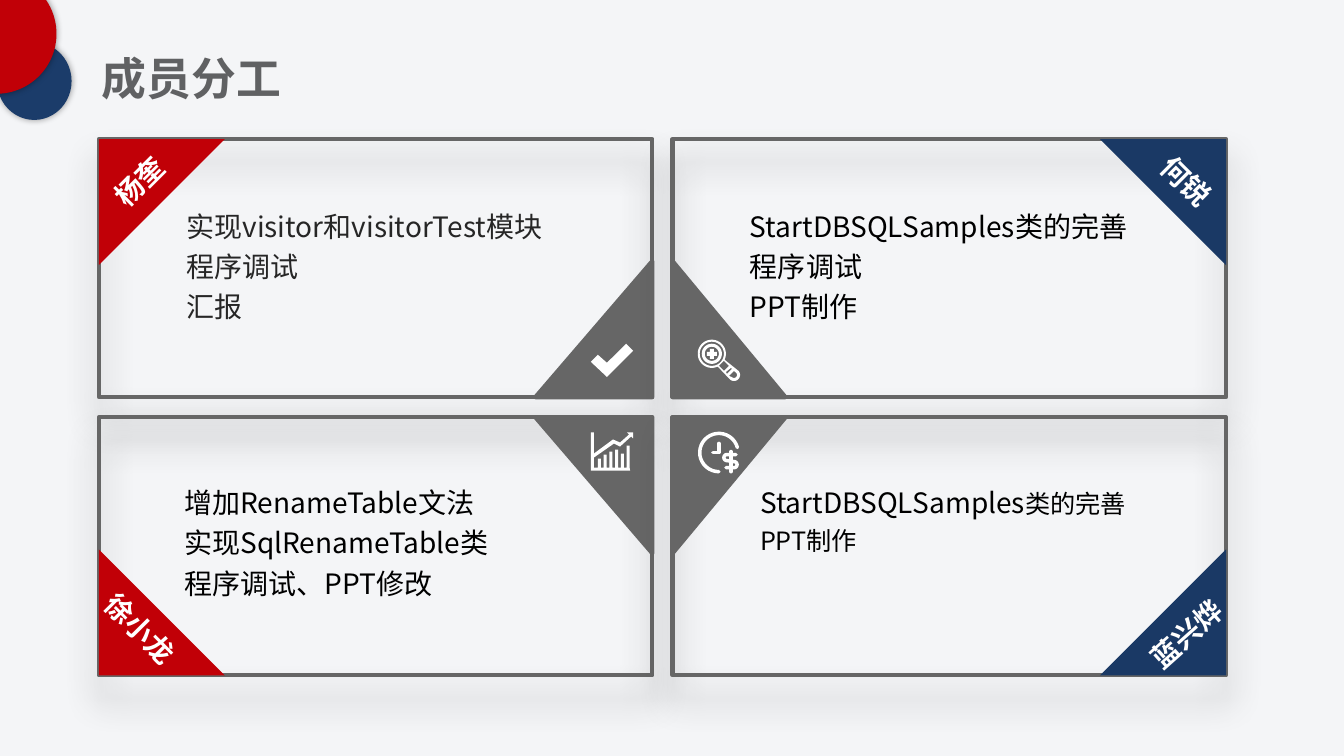
import math
from dataclasses import dataclass

import pptx
import pptx.dml.color
import pptx.enum.shapes
import pptx.enum.text
import pptx.oxml.ns
import pptx.util
from lxml import etree

Inches = pptx.util.Inches
Pt = pptx.util.Pt
Shape = pptx.enum.shapes.MSO_SHAPE
Fit = pptx.enum.text.MSO_AUTO_SIZE
qn = pptx.oxml.ns.qn


@dataclass(frozen=True)
class Theme:
    font: str = "Noto Sans CJK SC"
    back: str = "F4F5F7"
    red: str = "C10007"
    blue: str = "1A3965"
    disc: str = "1B3C6A"
    gray: str = "666666"
    title: str = "606163"
    soft: str = "262626"
    black: str = "000000"
    white: str = "FFFFFF"
    head: int = 32
    body: int = 20
    small: int = 18
    edge: int = 3


def color(code):
    return pptx.dml.color.RGBColor.from_string(code)


def arc(x, y, r, start=0, end=360):
    """Points on a circle; angles in degrees, clockwise from the right."""
    count = max(8, abs(end - start) // 10)
    turns = [math.radians(start + (end - start) * i / count)
             for i in range(count + 1)]
    return [(x + r * math.cos(t), y + r * math.sin(t)) for t in turns]


class Page:
    def __init__(self, slide, theme):
        self.slide, self.theme = slide, theme
        slide.background.fill.solid()
        slide.background.fill.fore_color.rgb = color(theme.back)

    def paint(self, shape, fill=None, line=None, width=None):
        shape.shadow.inherit = False
        if fill:
            shape.fill.solid()
            shape.fill.fore_color.rgb = color(fill)
        else:
            shape.fill.background()
        if line:
            shape.line.color.rgb = color(line)
            shape.line.width = Pt(width or self.theme.edge)
        else:
            shape.line.fill.background()
        return shape

    def shape(self, kind, x, y, w, h, fill=None, line=None):
        shape = self.slide.shapes.add_shape(
            kind, Inches(x), Inches(y), Inches(w), Inches(h))
        return self.paint(shape, fill, line)

    def shade(self, shape, blur, dist):
        """Give a shape a soft black shadow that falls straight down."""
        effects = shape._element.spPr.find(qn("a:effectLst"))
        outer = etree.SubElement(
            effects, qn("a:outerShdw"), blurRad=str(Pt(blur)),
            dist=str(Pt(dist)), dir="5400000", algn="ctr", rotWithShape="0")
        tint = etree.SubElement(outer, qn("a:srgbClr"), val=self.theme.black)
        etree.SubElement(tint, qn("a:alpha"), val="40000")

    def corner(self, x, y, w, h, turn, fill, line=None):
        """Right triangle that fills the given box after a quarter turn."""
        if turn % 180:
            x, y, w, h = x + (w - h) / 2, y + (h - w) / 2, h, w
        shape = self.shape(Shape.RIGHT_TRIANGLE, x, y, w, h, fill, line)
        shape.rotation = turn

    def text(self, x, y, w, h, rows, size, tint, bold=False, turn=0, gap=1.2):
        """Each row is a list of (text, size) pairs or a plain string."""
        box = self.slide.shapes.add_textbox(
            Inches(x), Inches(y), Inches(w), Inches(h))
        box.rotation = turn
        frame = box.text_frame
        frame.word_wrap = True
        for i, row in enumerate(rows):
            para = frame.add_paragraph() if i else frame.paragraphs[0]
            para.line_spacing = gap
            for words, points in [(row, size)] if isinstance(row, str) else row:
                run = para.add_run()
                run.text = words
                run.font.name = self.theme.font
                run.font.size = Pt(points)
                run.font.bold = bold
                run.font.color.rgb = color(tint)
                etree.SubElement(run._r.get_or_add_rPr(), qn("a:ea"),
                                 typeface=self.theme.font)
        return frame

    def label(self, x, y, name, turn):
        """Turned white name centred on the point x, y."""
        wide, high = 1.2, 0.44
        frame = self.text(x - wide / 2, y - high / 2, wide, high, [name],
                          self.theme.body, self.theme.white, bold=True,
                          turn=turn, gap=1.0)
        frame.paragraphs[0].alignment = pptx.enum.text.PP_ALIGN.CENTER

    def trace(self, parts, close):
        first = parts[0][0]
        pen = self.slide.shapes.build_freeform(
            Inches(first[0]), Inches(first[1]))
        for i, part in enumerate(parts):
            points = [(Inches(x), Inches(y)) for x, y in part]
            if i:
                pen.move_to(*points[0])
            pen.add_line_segments(points[1:], close=close)
        return pen.convert_to_shape()

    def solid(self, *parts):
        """White outline; each part inside another cuts a hole."""
        self.paint(self.trace(parts, True), self.theme.white)

    def stroke(self, *parts):
        shape = self.paint(self.trace(parts, False),
                           line=self.theme.white, width=2.5)
        shape.line._get_or_add_ln().set("cap", "rnd")


def draw_icons(page):
    # Check mark
    page.solid([(6.21, 3.41), (6.02, 3.6), (5.93, 3.52), (5.86, 3.59),
                (6.02, 3.74), (6.28, 3.48)])

    # Magnifier
    x, y, a, b = 7.06, 3.51, 0.05, 0.02
    plus = [(-b, -a), (b, -a), (b, -b), (a, -b), (a, b), (b, b),
            (b, a), (-b, a), (-b, b), (-a, b), (-a, -b), (-b, -b)]
    page.solid(
        arc(x, y, 0.14, 65, 385) + arc(7.28, 3.72, 0.06, -45, 135),
        *[arc(x, y, r) for r in (0.12, 0.1, 0.07)],
        [(x + dx, y + dy) for dx, dy in plus],
        [(7.18, 3.58), (7.23, 3.63), (7.18, 3.68), (7.13, 3.63)],
        [(7.25, 3.65), (7.2, 3.69), (7.21, 3.71), (7.26, 3.66)],
        [(7.23, 3.73), (7.28, 3.68)] + arc(7.28, 3.72, 0.03, -45, 135))

    # Growth chart
    base = 4.64
    bars = []
    for i, top in enumerate((4.55, 4.51, 4.48, 4.46, 4.5, 4.42)):
        left = 5.93 + 0.057 * i
        bars += [(left, base), (left, top), (left + 0.03, top),
                 (left + 0.03, base)]
    page.solid([(6.25, 4.67), (5.86, 4.67), (5.86, 4.29), (5.89, 4.29),
                (5.89, 4.5), (6.08, 4.36), (6.15, 4.39), (6.24, 4.31),
                (6.22, 4.29), (6.28, 4.29), (6.28, 4.35), (6.26, 4.33),
                (6.15, 4.43), (6.09, 4.4), (5.89, 4.54), (5.89, base)]
               + bars)

    # Clock and dollar
    page.stroke(
        arc(7.13, 4.49, 0.19, 90, 345),
        [(7.13, 4.4), (7.13, 4.49), (7.07, 4.49)],
        [(7.3, 4.51)] + arc(7.21, 4.54, 0.03, 270, 90)
        + arc(7.28, 4.61, 0.03, -90, 90) + [(7.2, 4.64)],
        [(7.25, 4.48), (7.25, 4.68)])


def main():
    deck = pptx.Presentation()
    deck.slide_width, deck.slide_height = Inches(13.33), Inches(7.5)
    theme = Theme()
    page = Page(deck.slides.add_slide(deck.slide_layouts[6]), theme)

    for x, y, w, h, fill in ((-0.03, 0.42, 0.74, 0.77, theme.disc),
                             (-0.63, -0.26, 1.19, 1.19, theme.red)):
        page.shade(page.shape(Shape.OVAL, x, y, w, h, fill), 5, 0)
    title = page.text(0.91, 0.46, 2.57, 0.52, ["成员分工"], theme.head,
                      theme.title, bold=True)
    title.vertical_anchor = pptx.enum.text.MSO_ANCHOR.MIDDLE

    wide, high, side, tall = 5.49, 2.56, 1.25, 1.35
    lefts, tops = (0.98, 6.67), (1.38, 4.14)
    # column, row, turn of the outer corner, name, its centre and turn
    cards = ((0, 0, 90, "杨奎", 1.39, 1.8, 315),
             (1, 0, 180, "何锐", 11.76, 1.8, 45),
             (0, 1, 0, "徐小龙", 1.39, 6.24, 45.3),
             (1, 1, 270, "蓝兴烨", 11.77, 6.29, 318.3))
    for col, row, turn, name, x, y, tilt in cards:
        left, top = lefts[col], tops[row]
        panel = page.shape(Shape.RECTANGLE, left, top, wide, high,
                           line=theme.gray)
        page.shade(panel, 24, 16)
        page.corner(left + col * (wide - side), top + row * (high - side),
                    side, side, turn, theme.blue if col else theme.red)
        span = 1.12 if col else 1.16
        page.corner(left + (1 - col) * (wide - span),
                    top + (1 - row) * (high - tall),
                    span, tall, (turn + 180) % 360, theme.gray, theme.gray)
        page.label(x, y, name, tilt)

    draw_icons(page)

    tasks = (
        (1.75, 1.96, 3.96, 1.31, theme.soft,
         ["实现visitor和visitorTest模块", "程序调试", "汇报"]),
        (1.73, 4.7, 3.96, 1.31, theme.black,
         ["增加RenameTable文法", "实现SqlRenameTable类",
          "程序调试、PPT修改"]),
        (7.34, 1.96, 4.24, 1.31, theme.black,
         ["StartDBSQLSamples类的完善", "程序调试", "PPT制作"]),
        (7.44, 4.7, 3.96, 0.87, theme.black,
         [[("StartDBSQLSamples", theme.body), ("类的完善", theme.small)],
          [("PPT制作", theme.small)]]))
    for x, y, w, h, tint, rows in tasks:
        frame = page.text(x, y, w, h, rows, theme.body, tint)
        frame.auto_size = Fit.SHAPE_TO_FIT_TEXT

    deck.save("out.pptx")


if __name__ == "__main__":
    main()
